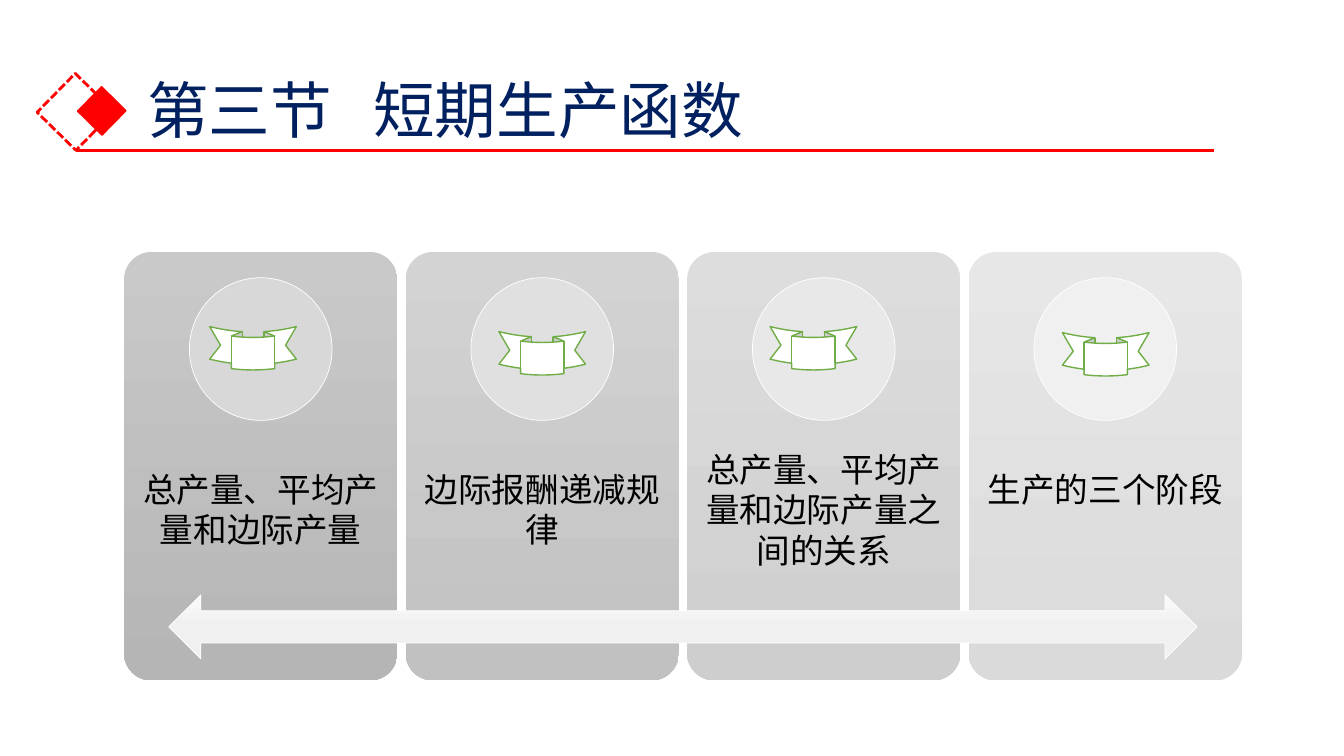
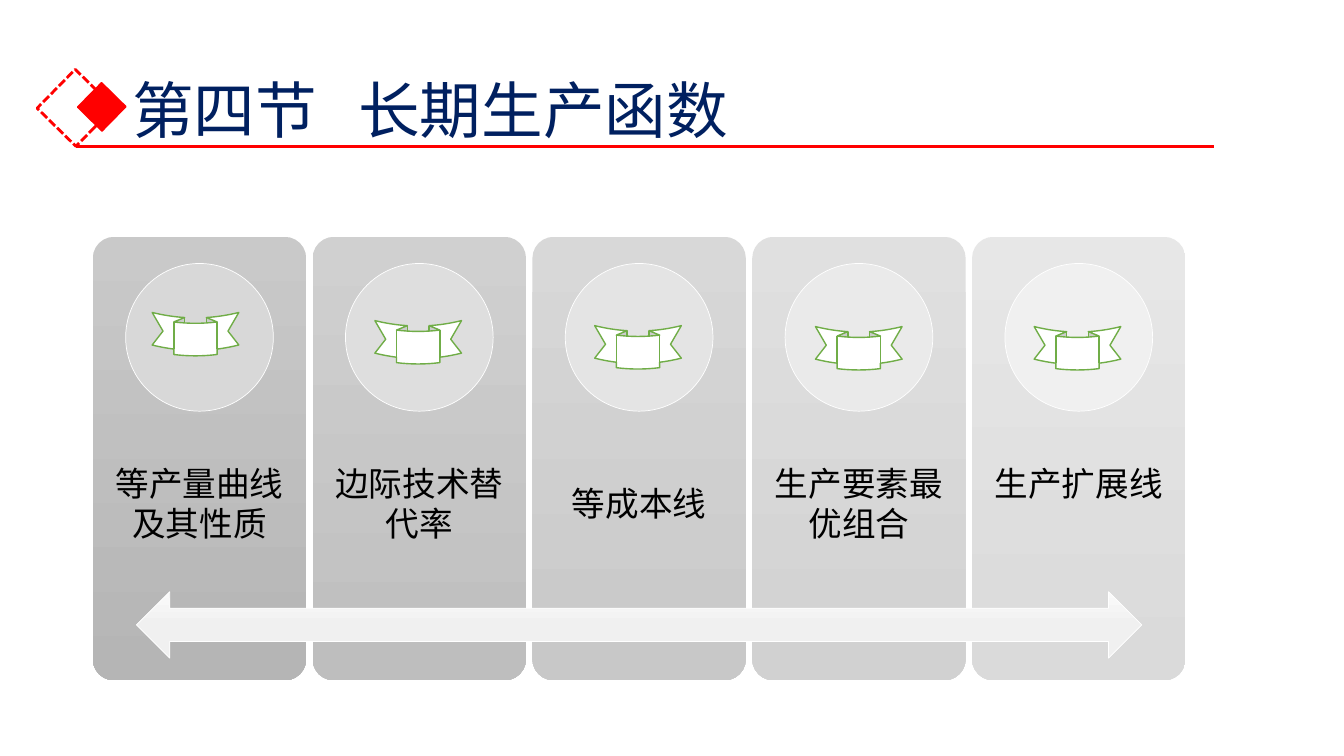
from dataclasses import dataclass

from lxml import etree
from pptx import Presentation
from pptx.dml.color import RGBColor
from pptx.enum import dml, shapes, text
from pptx.oxml.ns import qn
from pptx.util import Pt

FONT = "Noto Sans CJK SC"
NAVY = RGBColor(0x00, 0x20, 0x60)
RED = RGBColor(0xFF, 0x00, 0x00)
GREEN = RGBColor(0x70, 0xAD, 0x47)
WHITE = RGBColor(0xFF, 0xFF, 0xFF)
BLACK = RGBColor(0x00, 0x00, 0x00)
# Grey ramps from the first card to the last
CARD_TOP = (RGBColor(0xC9, 0xC9, 0xC9), RGBColor(0xE7, 0xE7, 0xE7))
CARD_BOTTOM = (RGBColor(0xB5, 0xB5, 0xB5), RGBColor(0xDA, 0xDA, 0xDA))
DISC = (RGBColor(0xD8, 0xD8, 0xD8), RGBColor(0xF0, 0xF0, 0xF0))
ARROW_TOP = RGBColor(0xFA, 0xFA, 0xFA)
ARROW_BOTTOM = RGBColor(0xF0, 0xF0, 0xF0)

GAP_RATIO = 0.03
INSET = 13.44
LINE_PITCH = 29
RIBBON_SIZE = (61.9, 31)
TITLE_TAB = 161.6


@dataclass
class Box:
    left: float
    top: float
    width: float
    height: float

    def lengths(self):
        return Pt(self.left), Pt(self.top), Pt(self.width), Pt(self.height)


@dataclass
class Topic:
    label: str
    ribbon_left: float
    ribbon_top: float
    lifted: bool = False  # label sits half a line higher


@dataclass
class Section:
    title: str
    title_left: float
    rule_y: float
    panel: Box
    topics: list[Topic]


SECTIONS = [
    Section("第三节\t短期生产函数", 97.9, 107.3, Box(88.6, 180, 798.5, 306), [
        Topic("总产量、平均产量和边际产量", 149.8, 233.3),
        Topic("边际报酬递减规律", 356.4, 236.9),
        Topic("总产量、平均产量和边际产量之间的关系", 550.1, 233.3),
        Topic("生产的三个阶段", 758.9, 237.6, lifted=True),
    ]),
    Section("第四节\t长期生产函数", 87.1, 104.4, Box(66.3, 169.2, 780.5, 316.8), [
        Topic("等产量曲线及其性质", 108.7, 223.2),
        Topic("边际技术替代率", 267.8, 229),
        Topic("等成本线", 424.8, 232.6),
        Topic("生产要素最优组合", 582.5, 233.3),
        Topic("生产扩展线", 738.7, 233.3, lifted=True),
    ]),
]


def blend(ramp: tuple[RGBColor, RGBColor], share: float) -> RGBColor:
    return RGBColor(*(round(a + (b - a) * share) for a, b in zip(*ramp)))


def style_runs(paragraph, size: float, color: RGBColor) -> None:
    for run in paragraph.runs:
        run.font.size = Pt(size)
        run.font.color.rgb = color
        run.font.name = FONT
        east_asian = etree.Element(qn("a:ea"), typeface=FONT)
        run.font._element.find(qn("a:latin")).addnext(east_asian)


def add_figure(slide, kind, box: Box, fill: RGBColor | None = None,
               line: RGBColor | None = None, line_width: float = 0.5):
    figure = slide.shapes.add_shape(kind, *box.lengths())
    figure.shadow.inherit = False
    if fill is None:
        figure.fill.background()
    else:
        figure.fill.solid()
        figure.fill.fore_color.rgb = fill
    if line is None:
        figure.line.fill.background()
    else:
        figure.line.color.rgb = line
        figure.line.width = Pt(line_width)
    return figure


def shade(figure, top: RGBColor, bottom: RGBColor, end: float = 1.0) -> None:
    """Fill from top to bottom, reaching the last colour at the given share."""
    figure.fill.gradient()
    figure.fill.gradient_angle = 270
    first, last = figure.fill.gradient_stops
    first.color.rgb, last.color.rgb = top, bottom
    first.position, last.position = 0, end


def add_title(slide, section: Section) -> None:
    title = slide.shapes.title
    title.left, title.top, title.width, title.height = Box(
        section.title_left, 28.8, 894.2 - section.title_left, 104.4).lengths()
    frame = title.text_frame
    frame.text = section.title
    frame.word_wrap = True
    frame.auto_size = text.MSO_AUTO_SIZE.NONE
    frame.vertical_anchor = text.MSO_ANCHOR.MIDDLE
    heading = frame.paragraphs[0]
    heading.alignment = text.PP_ALIGN.LEFT
    heading.line_spacing = 0.9
    tabs = etree.SubElement(heading._p.get_or_add_pPr(), qn("a:tabLst"))
    etree.SubElement(tabs, qn("a:tab"), pos=str(Pt(TITLE_TAB)), algn="l")
    style_runs(heading, 44, NAVY)


def add_title_mark(slide, rule_y: float) -> None:
    square = shapes.MSO_SHAPE.RECTANGLE
    outline = add_figure(slide, square, Box(34.6, rule_y - 46.8, 38.9, 38.9),
                         line=RED, line_width=2)
    outline.line.dash_style = dml.MSO_LINE.SQUARE_DOT
    solid = add_figure(slide, square, Box(60.5, rule_y - 40.3, 24.5, 24.5),
                       fill=RED, line=RED, line_width=1)
    outline.rotation = solid.rotation = 314.5
    rule = slide.shapes.add_connector(shapes.MSO_CONNECTOR.STRAIGHT,
                                      Pt(54), Pt(rule_y), Pt(866.9), Pt(rule_y))
    rule.line.color.rgb = RED
    rule.line.width = Pt(2.25)
    etree.SubElement(rule.element.spPr, qn("a:effectLst"))


def add_label(slide, topic: Topic, box: Box) -> None:
    frame = slide.shapes.add_textbox(*box.lengths()).text_frame
    frame.text = topic.label
    frame.word_wrap = True
    frame.vertical_anchor = text.MSO_ANCHOR.MIDDLE
    frame.margin_left = frame.margin_right = frame.margin_top = Pt(INSET)
    frame.margin_bottom = Pt(INSET + LINE_PITCH * topic.lifted)
    label = frame.paragraphs[0]
    label.alignment = text.PP_ALIGN.CENTER
    label.line_spacing = Pt(LINE_PITCH)
    style_runs(label, 24, BLACK)


def add_cards(slide, panel: Box, topics: list[Topic]) -> None:
    count = len(topics)
    width = panel.width / (count + (count - 1) * GAP_RATIO)
    disc_size = panel.height * 0.333
    for index, topic in enumerate(topics):
        share = index / (count - 1)
        left = panel.left + index * width * (1 + GAP_RATIO)
        card = add_figure(slide, shapes.MSO_SHAPE.ROUNDED_RECTANGLE,
                          Box(left, panel.top, width, panel.height))
        card.adjustments[0] = 0.1
        shade(card, blend(CARD_TOP, share), blend(CARD_BOTTOM, share))
        add_label(slide, topic, Box(left, panel.top + panel.height * 0.4,
                                    width, panel.height * 0.4))
        add_figure(slide, shapes.MSO_SHAPE.OVAL,
                   Box(left + (width - disc_size) / 2,
                       panel.top + panel.height * 0.06, disc_size, disc_size),
                   fill=blend(DISC, share), line=WHITE)


def add_arrow(slide, panel: Box) -> None:
    arrow = add_figure(slide, shapes.MSO_SHAPE.LEFT_RIGHT_ARROW,
                       Box(panel.left + panel.width * 0.04,
                           panel.top + panel.height * 0.8,
                           panel.width * 0.92, panel.height * 0.15), line=WHITE)
    shade(arrow, ARROW_TOP, ARROW_BOTTOM, end=0.5)


def add_section(deck, section: Section) -> None:
    slide = deck.slides.add_slide(deck.slide_layouts[5])
    add_title(slide, section)
    add_cards(slide, section.panel, section.topics)
    add_arrow(slide, section.panel)
    add_title_mark(slide, section.rule_y)
    # Ribbons on the discs
    for topic in section.topics:
        add_figure(slide, shapes.MSO_SHAPE.CURVED_DOWN_RIBBON,
                   Box(topic.ribbon_left, topic.ribbon_top, *RIBBON_SIZE),
                   fill=WHITE, line=GREEN, line_width=1)


def main() -> None:
    deck = Presentation()
    deck.slide_width, deck.slide_height = Pt(960), Pt(540)
    for section in SECTIONS:
        add_section(deck, section)
    deck.save("out.pptx")


if __name__ == "__main__":
    main()
